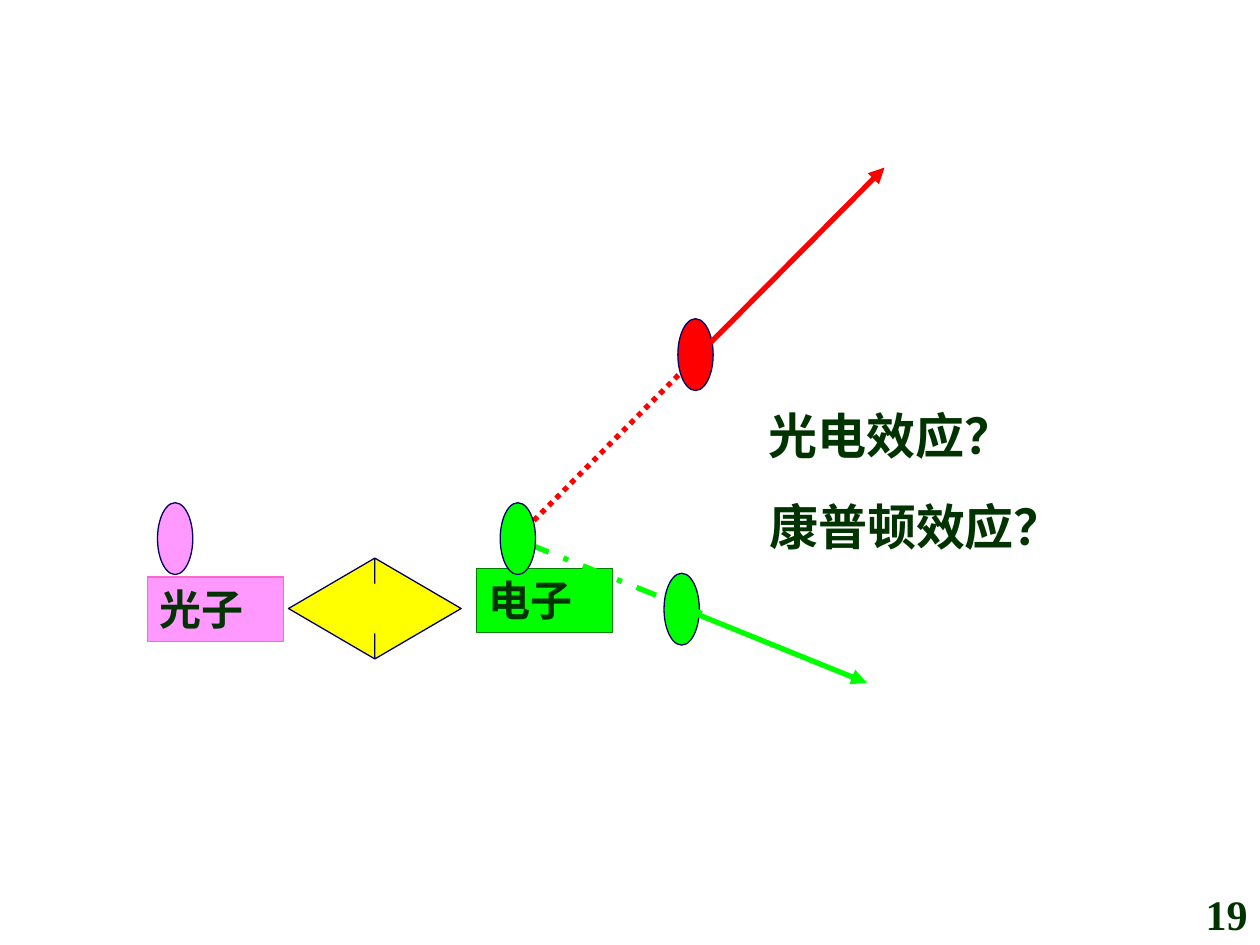
from lxml import etree
from pptx import Presentation
from pptx.dml.color import RGBColor
from pptx.enum.dml import MSO_LINE
from pptx.enum.shapes import MSO_CONNECTOR, MSO_SHAPE as SHAPE
from pptx.enum.text import MSO_ANCHOR, PP_ALIGN
from pptx.oxml.ns import qn
from pptx.util import Inches, Pt


def rgb(value):
    return RGBColor.from_string(value)


def write(sp, text, size, align=PP_ALIGN.LEFT, font="Arial", wrap=True):
    tf = sp.text_frame
    tf.word_wrap = wrap
    tf.vertical_anchor = MSO_ANCHOR.TOP
    p = tf.paragraphs[0]
    p.text = text
    p.alignment = align
    p.font.name = font
    p.font.size = Pt(size)
    p.font.bold = True
    p.font.color.rgb = rgb(TEXT)


TEXT, NAVY = "003300", "000066"
PINK, GREEN, RED, YELLOW = "FF99FF", "00FF00", "FF0000", "FFFF00"
BALL_W, BALL_H = 0.28, 0.57

prs = Presentation()
prs.slide_width, prs.slide_height = Inches(10), Inches(7.5)
s = prs.slides.add_slide(prs.slide_layouts[6])

# Shapes and paths, from back to front
items = [
    (SHAPE.RECTANGLE, 1.17, 4.58, 1.08, 0.51, PINK, "FF66CC", "光子"),
    (SHAPE.RECTANGLE, 3.78, 4.51, 1.08, 0.51, GREEN, "008000", "电子"),
    (SHAPE.LEFT_RIGHT_ARROW, 2.29, 4.43, 1.37, 0.8, YELLOW, NAVY, None),
    (SHAPE.OVAL, 1.25, 3.99, BALL_W, BALL_H, PINK, NAVY, None),
    (SHAPE.OVAL, 5.27, 4.55, BALL_W, BALL_H, GREEN, NAVY, None),
    (MSO_CONNECTOR.STRAIGHT, 4.2, 4.32, 5.57, 4.87, GREEN, MSO_LINE.DASH_DOT),
    (MSO_CONNECTOR.STRAIGHT, 5.52, 4.87, 6.88, 5.42, GREEN, None),
    (SHAPE.OVAL, 5.38, 2.53, BALL_W, BALL_H, RED, NAVY, None),
    (MSO_CONNECTOR.STRAIGHT, 4.12, 4.25, 5.57, 2.79, RED, MSO_LINE.ROUND_DOT),
    (MSO_CONNECTOR.STRAIGHT, 5.57, 2.79, 7.02, 1.33, RED, None),
    (SHAPE.OVAL, 3.97, 3.99, BALL_W, BALL_H, GREEN, NAVY, None),
]
for kind, *place, color, last in [i[:6] + (i[6:],) for i in items]:
    box = [Inches(v) for v in place]
    if kind is MSO_CONNECTOR.STRAIGHT:
        c = s.shapes.add_connector(kind, *box)
        c.line.color.rgb = rgb(color)
        c.line.width = Pt(3)
        dash = last[0]
        if dash:
            c.line.dash_style = dash
        else:
            etree.SubElement(c.get_or_add_ln(), qn("a:tailEnd"), type="triangle")
        etree.SubElement(c._element.spPr, qn("a:effectLst"))
        continue
    outline, label = last
    sp = s.shapes.add_shape(kind, *box)
    sp.shadow.inherit = False
    sp.fill.solid()
    sp.fill.fore_color.rgb = rgb(color)
    sp.line.color.rgb = rgb(outline)
    sp.line.width = Pt(0.75)
    if kind is SHAPE.LEFT_RIGHT_ARROW:
        sp.adjustments[0], sp.adjustments[1] = 0.5, 0.93
    if label:
        write(sp, label, 24)

# Questions and page number
for text, left, top in [("康普顿效应？", 5.71, 3.89), ("光电效应？", 5.51, 3.17)]:
    tb = s.shapes.add_textbox(Inches(left), Inches(top), Inches(3.12), Inches(0.57))
    write(tb, text, 28, PP_ALIGN.CENTER)

tb = s.shapes.add_textbox(Inches(9.47), Inches(7), Inches(0.54), Inches(0.51))
write(tb, "19", 24, font="Times New Roman", wrap=False)

prs.save("out.pptx")
